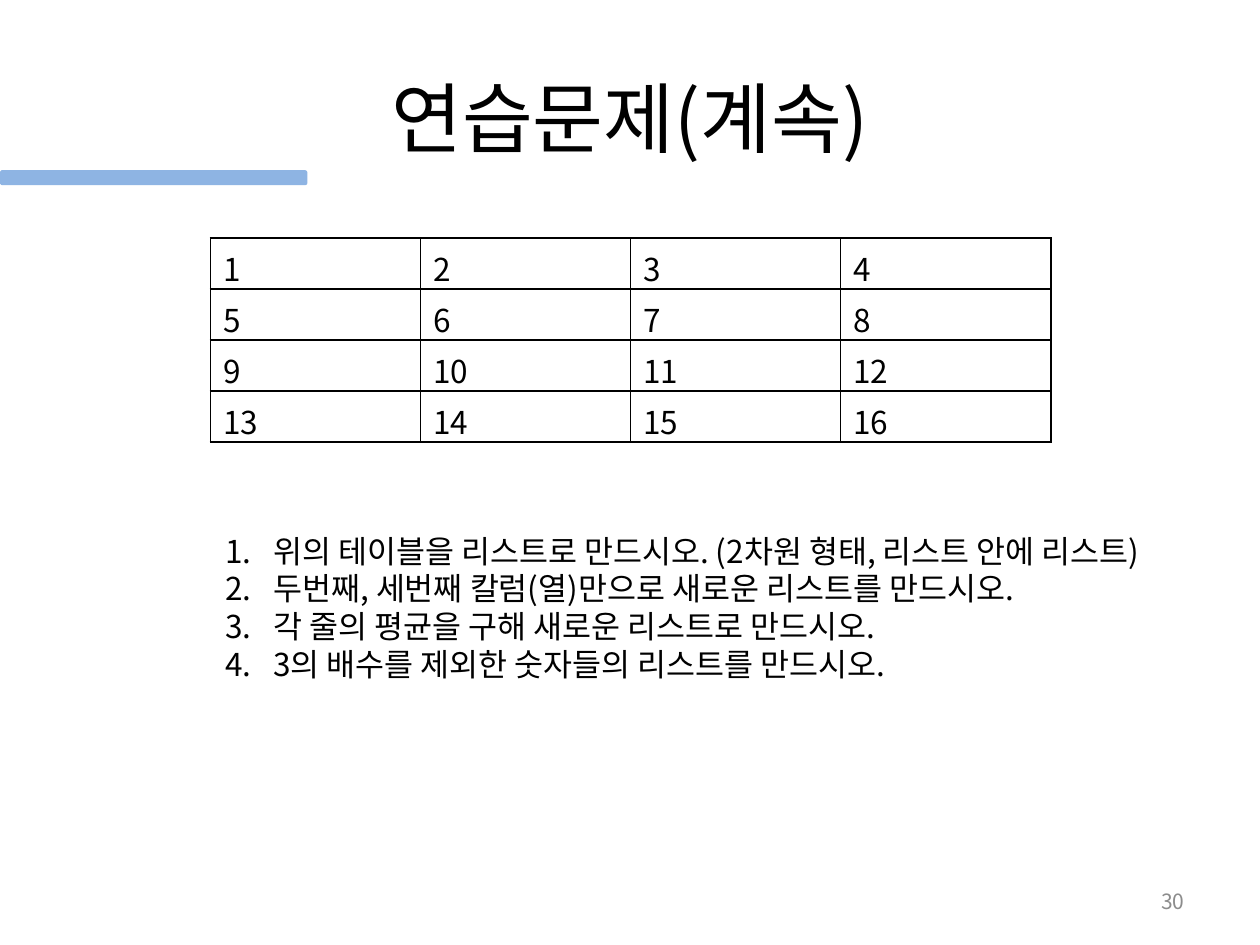
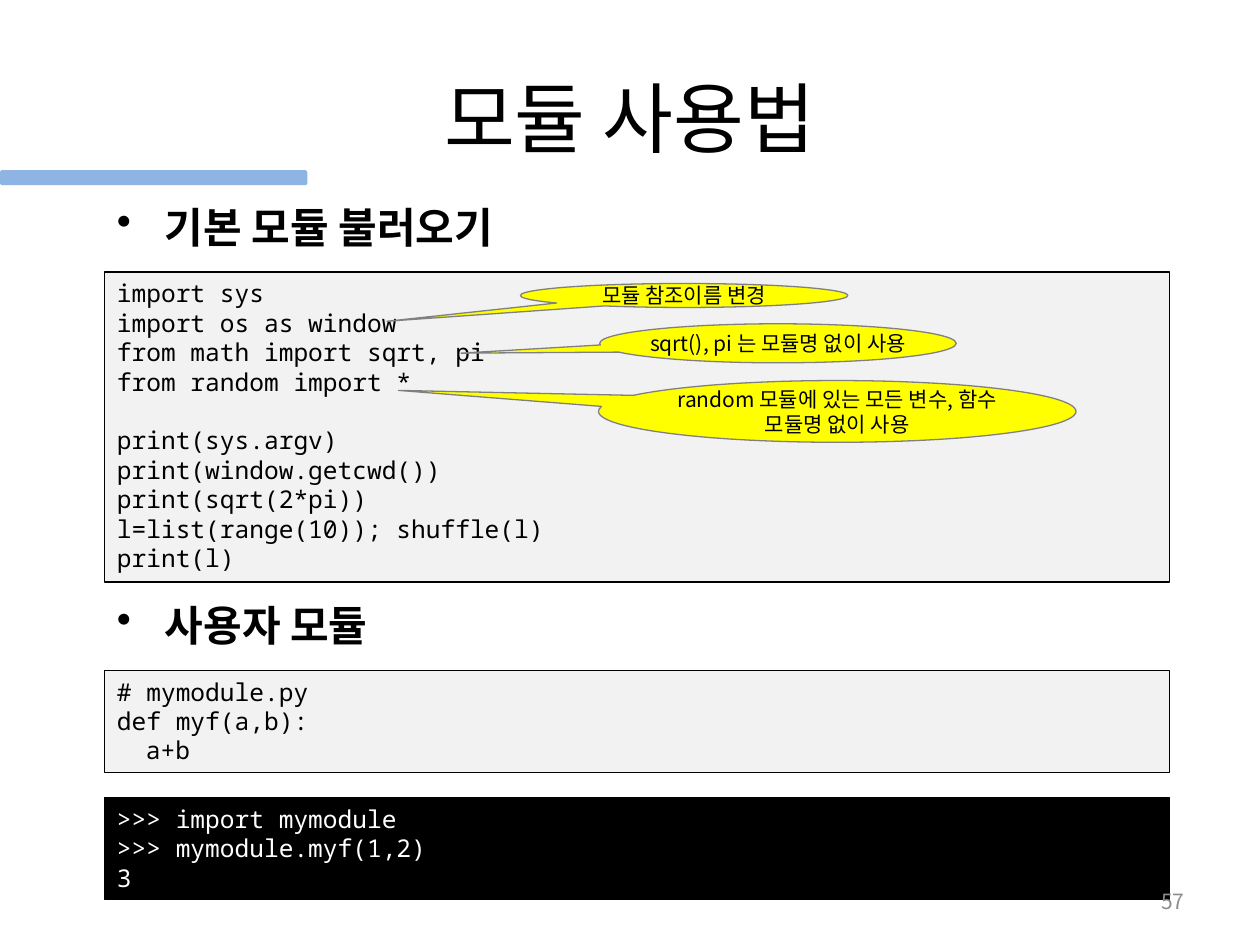
from dataclasses import dataclass

from lxml import etree
from pptx import Presentation
from pptx import util as u
from pptx.dml.color import RGBColor
from pptx.enum import shapes, text
from pptx.oxml import ns


@dataclass(frozen=True)
class Theme:
    sans: str = "Noto Sans CJK KR"
    mono: str = "Noto Sans Mono"
    ink: str = "000000"
    paper: str = "FFFFFF"
    band: str = "8EB4E3"
    code: str = "F2F2F2"
    note: str = "FFFF00"
    note_line: str = "808080"
    number: str = "8C8C8C"
    title_size: float = 44
    heading_size: float = 24
    body_size: float = 18
    code_size: float = 14
    small_size: float = 12
    code_line: float = 16.8  # height of one line of code, in points


THEME = Theme()
LEFT, CENTER, RIGHT = text.PP_ALIGN.LEFT, text.PP_ALIGN.CENTER, text.PP_ALIGN.RIGHT
MIDDLE = text.MSO_ANCHOR.MIDDLE
BULLET_INDENT = u.Inches(0.38)
CODE_BOX = (0.83, 8.45)  # left and width of every code panel


def inches(box):
    return [u.Inches(length) for length in box]


# Text helpers
def write(frame, lines, size, color=THEME.ink, font=THEME.sans, align=LEFT, bold=False):
    frame.text = "\n".join(lines)
    for para in frame.paragraphs:
        para.alignment = align
        for span in para.runs:
            span.font.size = u.Pt(size)
            span.font.bold = bold
            span.font.color.rgb = RGBColor.from_string(color)
            span.font.name = font
            east_asian = etree.SubElement(span.font._element, ns.qn("a:ea"))
            east_asian.set("typeface", font)


def add_bullets(frame, tag, **attributes):
    for para in frame.paragraphs:
        props = para._p.get_or_add_pPr()
        props.set("marL", str(BULLET_INDENT))
        props.set("indent", str(-BULLET_INDENT))
        bullet = etree.SubElement(props, ns.qn(tag))
        for name, value in attributes.items():
            bullet.set(name, value)


def add_text(page, box, lines, size, grow=False, anchor=None, **style):
    frame = page.shapes.add_textbox(*inches(box)).text_frame
    frame.word_wrap = not grow
    if grow:
        frame.auto_size = text.MSO_AUTO_SIZE.SHAPE_TO_FIT_TEXT
    if anchor is not None:
        frame.vertical_anchor = anchor
    write(frame, lines, size, **style)
    return frame


def add_panel(page, kind, box, fill, line=None):
    panel = page.shapes.add_shape(kind, *inches(box))
    panel.shadow.inherit = False
    panel.fill.solid()
    panel.fill.fore_color.rgb = RGBColor.from_string(fill)
    if line:
        panel.line.color.rgb = RGBColor.from_string(line)
        panel.line.width = u.Pt(0.75)
    else:
        panel.line.fill.background()
    return panel


# Parts shared by the slides
def add_page(deck, title):
    page = deck.slides.add_slide(deck.slide_layouts[6])
    add_text(page, (0.5, 0.3, 9, 1.25), [title], THEME.title_size, anchor=MIDDLE, align=CENTER)
    add_panel(page, shapes.MSO_SHAPE.ROUNDED_RECTANGLE, (0, 1.35, 2.44, 0.12), THEME.band)
    return page


def add_number(page, number):
    add_text(page, (7.17, 6.95, 2.33, 0.4), [str(number)], THEME.small_size,
             anchor=MIDDLE, color=THEME.number, align=RIGHT)


# Regions
def set_borders(cell):
    props = cell._tc.get_or_add_tcPr()
    for place, side in enumerate(("a:lnL", "a:lnR", "a:lnT", "a:lnB")):
        border = etree.Element(ns.qn(side), w=str(u.Pt(1)))
        fill = etree.SubElement(border, ns.qn("a:solidFill"))
        etree.SubElement(fill, ns.qn("a:srgbClr"), val=THEME.ink)
        props.insert(place, border)


def add_number_grid(page, box, rows, columns):
    grid = page.shapes.add_table(rows, columns, *inches(box)).table
    grid.first_row = grid.horz_banding = False
    for index, cell in enumerate(grid.iter_cells(), start=1):
        write(cell.text_frame, [str(index)], THEME.body_size)
        cell.fill.background()
        set_borders(cell)


def add_tasks(page, box, tasks):
    frame = add_text(page, box, tasks, THEME.body_size, grow=True)
    add_bullets(frame, "a:buAutoNum", type="arabicPeriod")


def add_heading(page, box, heading):
    frame = add_text(page, box, [heading], THEME.heading_size, grow=True, bold=True)
    add_bullets(frame, "a:buChar", char="•")


def add_code(page, top, height, lines, fill=THEME.code, color=THEME.ink, gap_before=(), indented=()):
    left, width = CODE_BOX
    panel = add_panel(page, shapes.MSO_SHAPE.RECTANGLE, (left, top, width, height), fill, THEME.ink)
    frame = panel.text_frame
    frame.word_wrap = True
    frame.auto_size = text.MSO_AUTO_SIZE.SHAPE_TO_FIT_TEXT
    frame.vertical_anchor = text.MSO_ANCHOR.TOP
    write(frame, lines, THEME.code_size, color, THEME.mono)
    for index in gap_before:
        frame.paragraphs[index].space_before = u.Pt(THEME.code_line)
    for index in indented:
        props = frame.paragraphs[index]._p.get_or_add_pPr()
        props.set("marL", str(u.Inches(0.23)))
        props.set("indent", "0")


def add_callout(page, box, tip, lines, wrap=False):
    callout = add_panel(page, shapes.MSO_SHAPE.OVAL_CALLOUT, box, THEME.note, THEME.note_line)
    callout.adjustments[0], callout.adjustments[1] = tip
    frame = callout.text_frame
    frame.word_wrap = wrap
    frame.vertical_anchor = MIDDLE
    write(frame, lines, THEME.small_size, align=CENTER)


# Slides
def build_exercise(deck):
    page = add_page(deck, "연습문제(계속)")
    add_number_grid(page, (1.67, 1.89, 6.67, 1.62), 4, 4)
    add_tasks(page, (1.69, 4.17, 8.19, 1.31), [
        "위의 테이블을 리스트로 만드시오. (2차원 형태, 리스트 안에 리스트)",
        "두번째, 세번째 칼럼(열)만으로 새로운 리스트를 만드시오.",
        "각 줄의 평균을 구해 새로운 리스트로 만드시오.",
        "3의 배수를 제외한 숫자들의 리스트를 만드시오.",
    ])
    add_number(page, 30)


def build_modules(deck):
    page = add_page(deck, "모듈 사용법")

    # Standard modules
    add_heading(page, (0.83, 1.55, 3.51, 0.5), "기본 모듈 불러오기")
    add_code(page, 2.16, 2.46, [
        "import sys",
        "import os as window",
        "from math import sqrt, pi",
        "from random import *",
        "print(sys.argv)",
        "print(window.getcwd())",
        "print(sqrt(2*pi))",
        "l=list(range(10)); shuffle(l)",
        "print(l)",
    ], gap_before=[4])
    add_callout(page, (4.13, 2.25, 2.6, 0.19), (-0.907, 1.077), ["모듈 참조이름 변경"], wrap=True)
    add_callout(page, (4.76, 2.57, 2.83, 0.31), (-0.889, 0.252), ["sqrt(), pi 는 모듈명 없이 사용"])
    add_callout(page, (4.75, 3.02, 3.79, 0.49), (-0.919, -0.34),
                ["random 모듈에 있는 모든 변수, 함수", "모듈명 없이 사용"])

    # User modules
    add_heading(page, (0.83, 4.71, 2.38, 0.5), "사용자 모듈")
    add_code(page, 5.32, 0.81, ["# mymodule.py", "def myf(a,b):", "a+b"], indented=[2])
    add_code(page, 6.33, 0.81, [">>> import mymodule", ">>> mymodule.myf(1,2)", "3"],
             fill=THEME.ink, color=THEME.paper)
    add_number(page, 57)


deck = Presentation()
deck.slide_width, deck.slide_height = inches((10, 7.5))
build_exercise(deck)
build_modules(deck)
deck.save("out.pptx")
